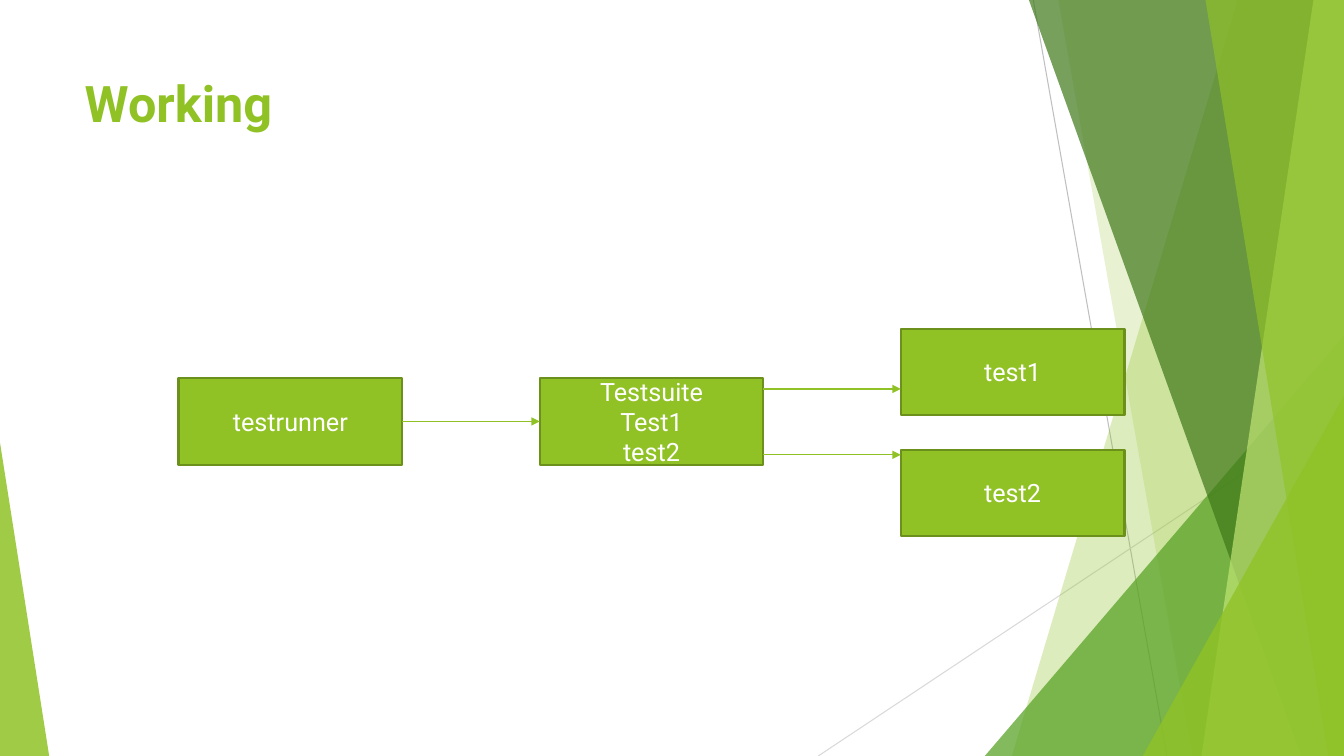
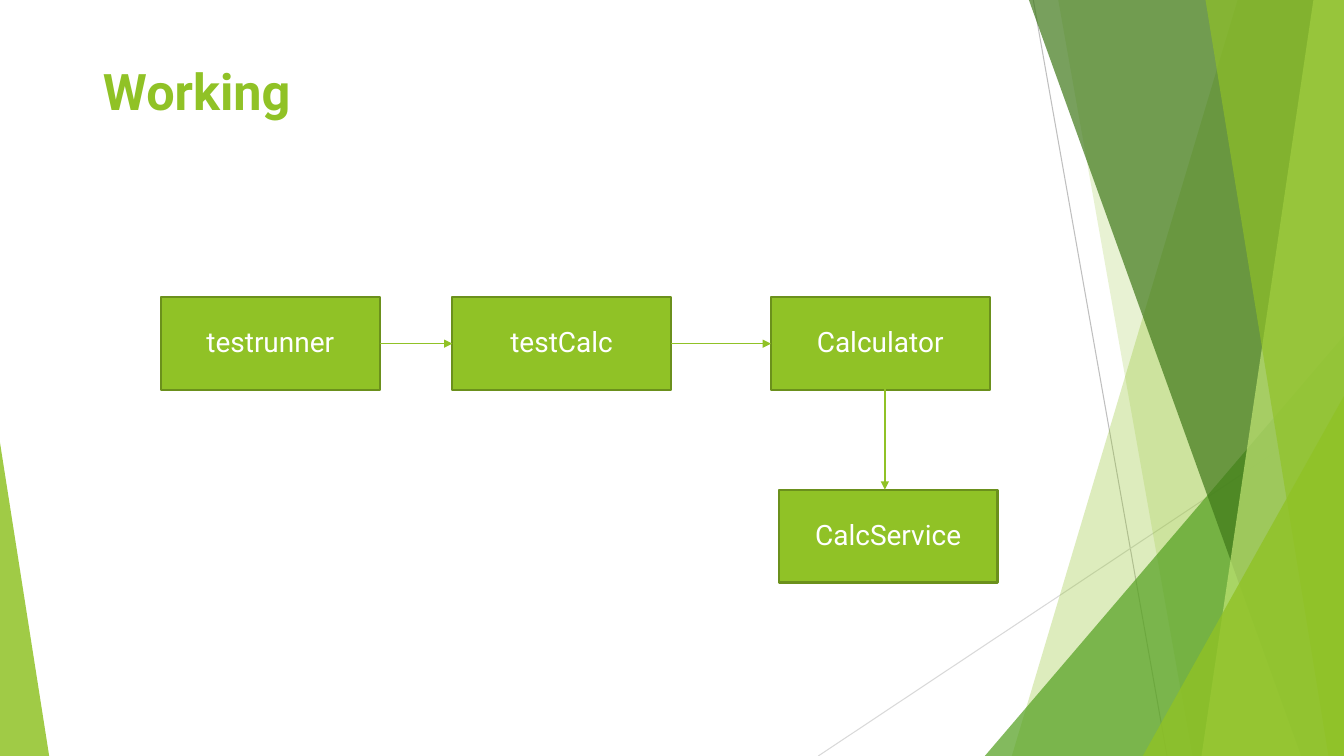
import pptx
import pptx.dml.color
import pptx.enum.shapes
import pptx.enum.text
import pptx.oxml.ns
import pptx.util
from lxml import etree

Cm = pptx.util.Cm
Pt = pptx.util.Pt
qn = pptx.oxml.ns.qn
SHAPE = pptx.enum.shapes.MSO_SHAPE
ALIGN = pptx.enum.text.PP_ALIGN
ANCHOR = pptx.enum.text.MSO_ANCHOR

W, H = 33.87, 19.05
COLORS = {
    "green": "90C226",
    "edge": "6B901C",
    "leaf": "54A021",
    "forest": "3F7819",
    "lime": "C0E474",
    "white": "FFFFFF",
    "grey": "BFBFBF",
    "pale": "D9D9D9",
}
TITLE_FONT = {"name": "Roboto", "size": Pt(36), "bold": True}
SUITE_BOX = {"size": (5.64, 2.18), "font": {"name": "Roboto", "size": Pt(18)}, "para": {}}
CALC_BOX = {
    "size": (5.51, 2.34),
    "font": {"name": "Roboto", "size": Pt(20)},
    "para": {"line_spacing": 0.9, "space_before": Pt(10)},
}

# Background: triangles (left, top, width, apex) and bands (top left, bottom left)
# running to the right edge, from back to front
BACKDROP = [
    ("band", (31.19, 25.5), "green", 30),
    ("band", (26.67, 30.05), "green", 20),
    ("triangle", (24.82, 8.46, 9.05, 1), "leaf", 72),
    ("band", (25.93, 32.79), "forest", 70),
    ("band", (33.1, 30.28), "lime", 70),
    ("band", (30.38, 33.48), "green", 65),
    ("triangle", (28.8, 9.98, 5.07, 1), "green", 80),
    ("triangle", (0, 11.15, 1.24, 0), "green", 85),
]


def rgb(name):
    return pptx.dml.color.RGBColor.from_string(COLORS[name])


def apply_format(target, values):
    for key, value in values.items():
        setattr(target, key, value)


def fill_shape(sp, color, alpha=None):
    sp.shadow.inherit = False
    sp.fill.solid()
    sp.fill.fore_color.rgb = rgb(color)
    sp.line.fill.background()
    if alpha is not None:
        clr = sp.element.spPr.find(qn("a:solidFill")).find(qn("a:srgbClr"))
        etree.SubElement(clr, qn("a:alpha"), val=str(alpha * 1000))


def add_line(s, start, end, color, width):
    kind = pptx.enum.shapes.MSO_CONNECTOR.STRAIGHT
    ln = s.shapes.add_connector(kind, *(Cm(v) for v in (*start, *end)))
    ln.line.color.rgb = rgb(color)
    ln.line.width = Pt(width)
    etree.SubElement(ln.element.spPr, qn("a:effectLst"))
    return ln


def add_arrow(s, start, end):
    ln = add_line(s, start, end, "green", 1)
    etree.SubElement(ln.element.spPr.find(qn("a:ln")), qn("a:tailEnd"), type="triangle")
    return ln


def link_boxes(s, left, right):
    """Arrow from the right side of one box to the left side of the next."""
    ln = add_arrow(s, (0, 0), (1, 1))
    ln.begin_connect(left, 3)
    ln.end_connect(right, 1)


def add_band(s, top_x, bottom_x):
    fb = s.shapes.build_freeform(Cm(top_x), 0)
    points = [(W, 0), (W, H), (bottom_x, H)]
    fb.add_line_segments([(Cm(x), Cm(y)) for x, y in points], close=True)
    return fb.convert_to_shape()


def add_triangle(s, x, y, width, apex):
    sp = s.shapes.add_shape(SHAPE.ISOSCELES_TRIANGLE, Cm(x), Cm(y), Cm(width), Cm(H - y))
    sp.adjustments[0] = apex
    return sp


def add_box(s, x, y, lines, style):
    sp = s.shapes.add_shape(SHAPE.RECTANGLE, Cm(x), Cm(y), *map(Cm, style["size"]))
    fill_shape(sp, "green")
    sp.line.color.rgb = rgb("edge")
    sp.line.width = Pt(1.5)
    tf = sp.text_frame
    apply_format(tf, {"word_wrap": True, "vertical_anchor": ANCHOR.MIDDLE})
    tf.text = "\n".join(lines)
    for p in tf.paragraphs:
        apply_format(p, {"alignment": ALIGN.CENTER, **style["para"]})
        for r in p.runs:
            apply_format(r.font, style["font"])
            r.font.color.rgb = rgb("white")
    return sp


def set_title(s, text, x, y, width, height):
    sp = s.shapes.title
    apply_format(sp, {"left": Cm(x), "top": Cm(y), "width": Cm(width), "height": Cm(height)})
    tf = sp.text_frame
    tf.text = text
    apply_format(tf, {"word_wrap": True, "vertical_anchor": ANCHOR.TOP})
    p = tf.paragraphs[0]
    p.alignment = ALIGN.LEFT
    apply_format(p.runs[0].font, TITLE_FONT)
    p.runs[0].font.color.rgb = rgb("green")


def move_backdrop_to_layout(s, layout):
    """Draw the background on a slide, then hand it to the layout for all slides."""
    for ph in list(layout.placeholders):
        if ph.placeholder_format.idx:
            ph.element.getparent().remove(ph.element)
    parts = [
        add_line(s, (26.04, 0), (29.41, H), "grey", 0.75),
        add_line(s, (W, 10.24), (20.62, H), "pale", 0.75),
    ]
    draw = {"band": add_band, "triangle": add_triangle}
    for kind, place, color, alpha in BACKDROP:
        sp = draw[kind](s, *place)
        fill_shape(sp, color, alpha)
        parts.append(sp)
    for sp in parts:
        layout.shapes.element.append(sp.element)


def draw_suite_flow(s):
    set_title(s, "Working", 1.88, 1.7, 23.88, 3.66)
    xs = [4.5 + 9.1 * i for i in range(3)]
    runner = add_box(s, xs[0], 9.53, ["testrunner"], SUITE_BOX)
    suite = add_box(s, xs[1], 9.53, ["Testsuite", "Test1", "test2"], SUITE_BOX)
    link_boxes(s, runner, suite)
    # One box and one arrow for each test
    suite_right = xs[1] + SUITE_BOX["size"][0]
    for name, y, arrow_y in [("test1", 8.28, 9.8), ("test2", 11.33, 11.46)]:
        add_box(s, xs[2], y, [name], SUITE_BOX)
        add_arrow(s, (suite_right, arrow_y), (xs[2], arrow_y))


def draw_calc_flow(s):
    set_title(s, "Working", 2.34, 1.4, 29.2, 3.3)
    row = [("testrunner", 4.06), ("testCalc", 11.4), ("Calculator", 19.43)]
    boxes = [add_box(s, x, 7.49, [name], CALC_BOX) for name, x in row]
    add_box(s, 19.63, 12.34, ["CalcService"], CALC_BOX)
    for left, right in zip(boxes, boxes[1:]):
        link_boxes(s, left, right)
    add_arrow(s, (22.3, 9.68), (22.3, 12.34))


def main():
    prs = pptx.Presentation()
    prs.slide_width, prs.slide_height = Cm(W), Cm(H)
    layout = prs.slide_layouts[5]
    slides = [prs.slides.add_slide(layout) for _ in range(2)]
    move_backdrop_to_layout(slides[0], layout)
    draw_suite_flow(slides[0])
    draw_calc_flow(slides[1])
    prs.save("out.pptx")


if __name__ == "__main__":
    main()
